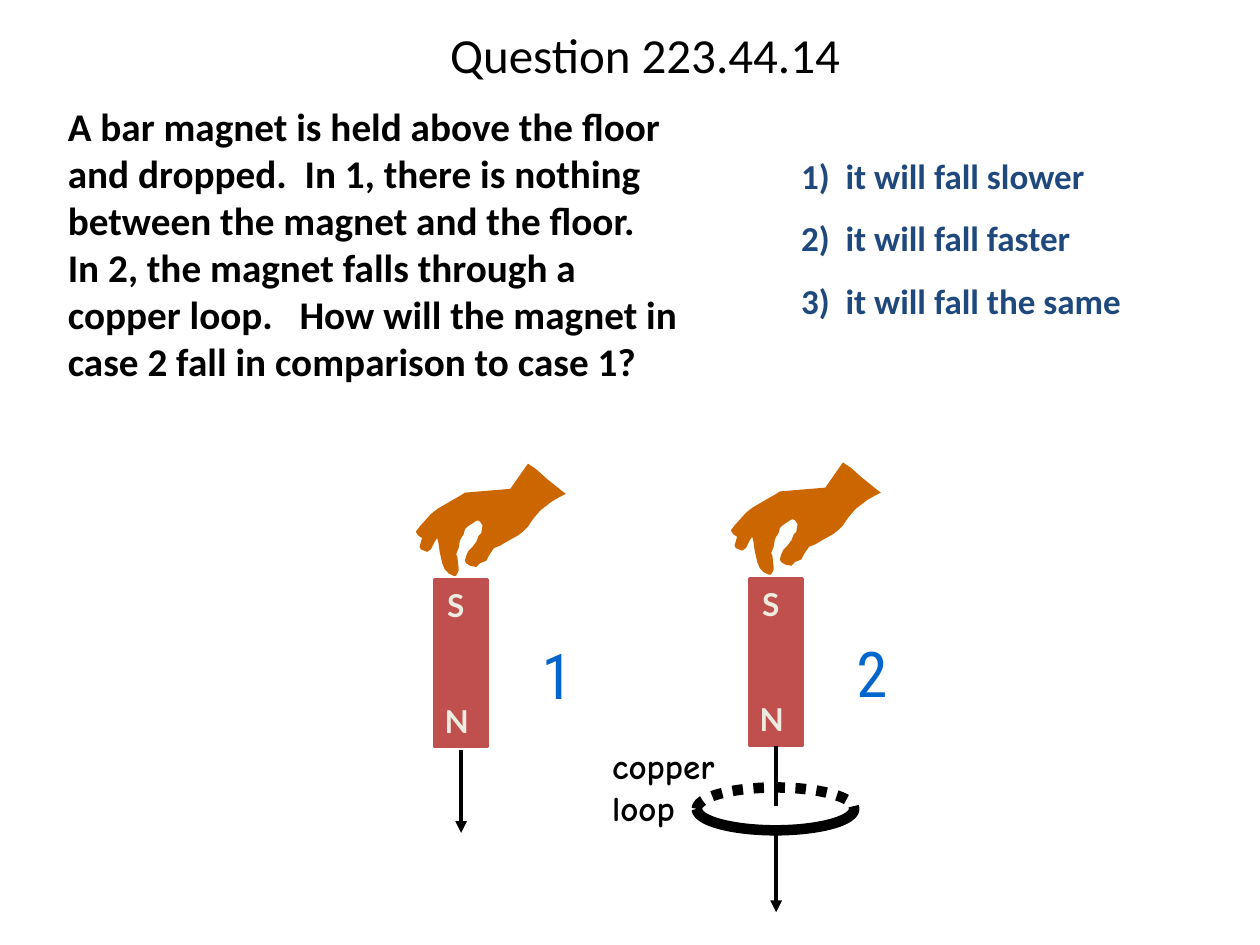
from lxml import etree
from pptx import Presentation
from pptx.dml.color import RGBColor
from pptx.enum.dml import MSO_LINE
from pptx.enum.shapes import MSO_CONNECTOR, MSO_SHAPE
from pptx.enum.text import MSO_ANCHOR, PP_ALIGN
from pptx.oxml.ns import qn
from pptx.util import Inches, Pt

LEFT, CENTER = PP_ALIGN.LEFT, PP_ALIGN.CENTER
TOP, MIDDLE = MSO_ANCHOR.TOP, MSO_ANCHOR.MIDDLE
DOTTED = MSO_LINE.ROUND_DOT
BLACK, NAVY, BLUE = "000000", "1F497D", "0066CC"
RED, CREAM, SKIN = "C0504D", "EEECE1", "CC6600"

TITLE = "Question 223.44.14"
QUESTION = (
    "A bar magnet is held above the floor and dropped.  In 1, there is nothing "
    "between the magnet and the floor.   In 2, the magnet falls through a copper "
    "loop.   How will the magnet in case 2 fall in comparison to case 1?"
)
ANSWERS = ["1)  it will fall slower", "2)  it will fall faster", "3)  it will fall the same"]
LOOP_LABEL = ["copper", "loop"]

# Each case: number, magnet left and top, number box left and width,
# path segments as (top, bottom, ends in an arrowhead)
CASES = [
    ("1", 3.45, 4.6, 4.2, 0.3, [(5.95, 6.61, True)]),
    ("2", 5.95, 4.59, 6.65, 0.54, [(5.92, 6.4, False), (6.57, 7.24, True)]),
]
MAGNET_WIDTH, MAGNET_HEIGHT = 0.42, 1.33
POLES = [("S", 0, 0, 0.41), ("N", -0.02, 0.92, 0.46)]  # offset in the magnet, width

LOOP_BOX = (5.53, 6.25, 1.25, 0.34)
LOOP_ARCS = [(180, 358, DOTTED), (358, 180, None)]  # back half, front half

# Hand outline in hundredths of an inch
HAND = [
    (34, 83), (33, 74), (32, 72), (34, 67), (35, 61), (36, 59), (38, 56), (39, 52),
    (41, 50), (44, 48), (47, 46), (49, 45), (51, 46), (53, 49), (52, 55), (50, 57),
    (48, 62), (45, 66), (42, 69), (40, 73), (39, 77), (40, 79), (43, 81), (48, 82),
    (51, 79), (56, 77), (58, 73), (62, 67), (67, 65), (72, 62), (81, 57), (85, 54),
    (89, 50), (93, 44), (99, 37), (108, 30), (115, 26), (119, 24), (114, 20), (104, 12),
    (95, 4), (89, 0), (75, 20), (39, 23), (36, 25), (29, 29), (17, 36), (12, 40),
    (3, 50), (0, 54), (2, 57), (5, 59), (3, 66), (4, 68), (9, 70), (12, 68),
    (15, 62), (17, 59), (18, 63), (19, 70), (21, 79), (23, 84), (26, 87), (30, 89),
    (32, 89), (34, 85),
]
HAND_OFFSET = (-0.15, -0.92)  # from the magnet's top left corner


def rgb(color):
    return RGBColor.from_string(color)


def add_text(slide, lines, box, size, font, color, bold=False, wrap=False,
             align=LEFT, anchor=TOP, spacing=None, gap=0):
    """Add a text box with one paragraph per line and gap points between them."""
    frame = slide.shapes.add_textbox(*map(Inches, box)).text_frame
    frame.word_wrap = wrap
    frame.vertical_anchor = anchor
    frame.text = "\n".join(lines)
    for index, para in enumerate(frame.paragraphs):
        para.alignment = align
        para.line_spacing = spacing
        para.space_before = Pt(gap if index else 0)
        for span in para.runs:
            span.font.size = Pt(size)
            span.font.name = font
            span.font.bold = bold
            span.font.color.rgb = rgb(color)


def add_path(slide, x, top, bottom, arrow):
    """Add a vertical line for the fall of a magnet."""
    line = slide.shapes.add_connector(
        MSO_CONNECTOR.STRAIGHT, Inches(x), Inches(top), Inches(x), Inches(bottom))
    line.line.width = Pt(2.25)
    line.line.color.rgb = rgb(BLACK)
    if arrow:
        etree.SubElement(line.line._get_or_add_ln(), qn("a:tailEnd"), type="triangle")
    etree.SubElement(line._element.spPr, qn("a:effectLst"))


def add_loop(slide):
    for start, end, dash in LOOP_ARCS:
        arc = slide.shapes.add_shape(MSO_SHAPE.ARC, *map(Inches, LOOP_BOX))
        arc.shadow.inherit = False
        # An arc angle is stored in 60000ths of a degree, an adjustment in 100000ths
        arc.adjustments[0], arc.adjustments[1] = start * 0.6, end * 0.6
        arc.fill.background()
        arc.line.color.rgb = rgb(BLACK)
        arc.line.width = Pt(6)
        if dash:
            arc.line.dash_style = dash


def add_hand(slide, left, top):
    builder = slide.shapes.build_freeform(*HAND[0], scale=Inches(0.01))
    builder.add_line_segments(HAND[1:], close=True)
    hand = builder.convert_to_shape(Inches(left), Inches(top))
    hand.shadow.inherit = False
    hand.fill.solid()
    hand.fill.fore_color.rgb = rgb(SKIN)
    hand.line.fill.background()


def add_case(slide, number, left, top, number_left, number_width, segments):
    magnet = slide.shapes.add_shape(
        MSO_SHAPE.RECTANGLE, *map(Inches, (left, top, MAGNET_WIDTH, MAGNET_HEIGHT)))
    magnet.shadow.inherit = False
    magnet.fill.solid()
    magnet.fill.fore_color.rgb = rgb(RED)
    magnet.line.color.rgb = rgb(RED)
    magnet.line.width = Pt(1.5)
    for pole, dx, dy, width in POLES:
        add_text(slide, [pole], (left + dx, top + dy, width, 0.5), 18, "Lato", CREAM, bold=True)
    for segment in segments:
        add_path(slide, left + MAGNET_WIDTH / 2, *segment)
    add_hand(slide, left + HAND_OFFSET[0], top + HAND_OFFSET[1])
    add_text(slide, [number], (number_left, top + 0.4, number_width, 0.62),
             36, "Roboto Condensed", BLUE, align=CENTER)


def main():
    deck = Presentation()
    deck.slide_width, deck.slide_height = Inches(10), Inches(7.5)
    slide = deck.slides.add_slide(deck.slide_layouts[6])
    add_text(slide, [TITLE], (0.72, 0, 8.8, 0.92), 28, "Calibri", BLACK,
             wrap=True, align=CENTER, anchor=MIDDLE, spacing=0.9)
    add_text(slide, [QUESTION], (0.44, 0.76, 5.13, 2.6), 22.4, "Calibri", BLACK,
             bold=True, wrap=True)
    add_loop(slide)
    add_text(slide, LOOP_LABEL, (4.76, 5.86, 1.07, 0.77), 20, "Comic Neue", BLACK, bold=True)
    for case in CASES:
        add_case(slide, *case)
    add_text(slide, ANSWERS, (6.26, 1.14, 3.74, 1.64), 20, "Calibri", NAVY,
             bold=True, wrap=True, spacing=1.1, gap=9.5)
    deck.save("out.pptx")


if __name__ == "__main__":
    main()
